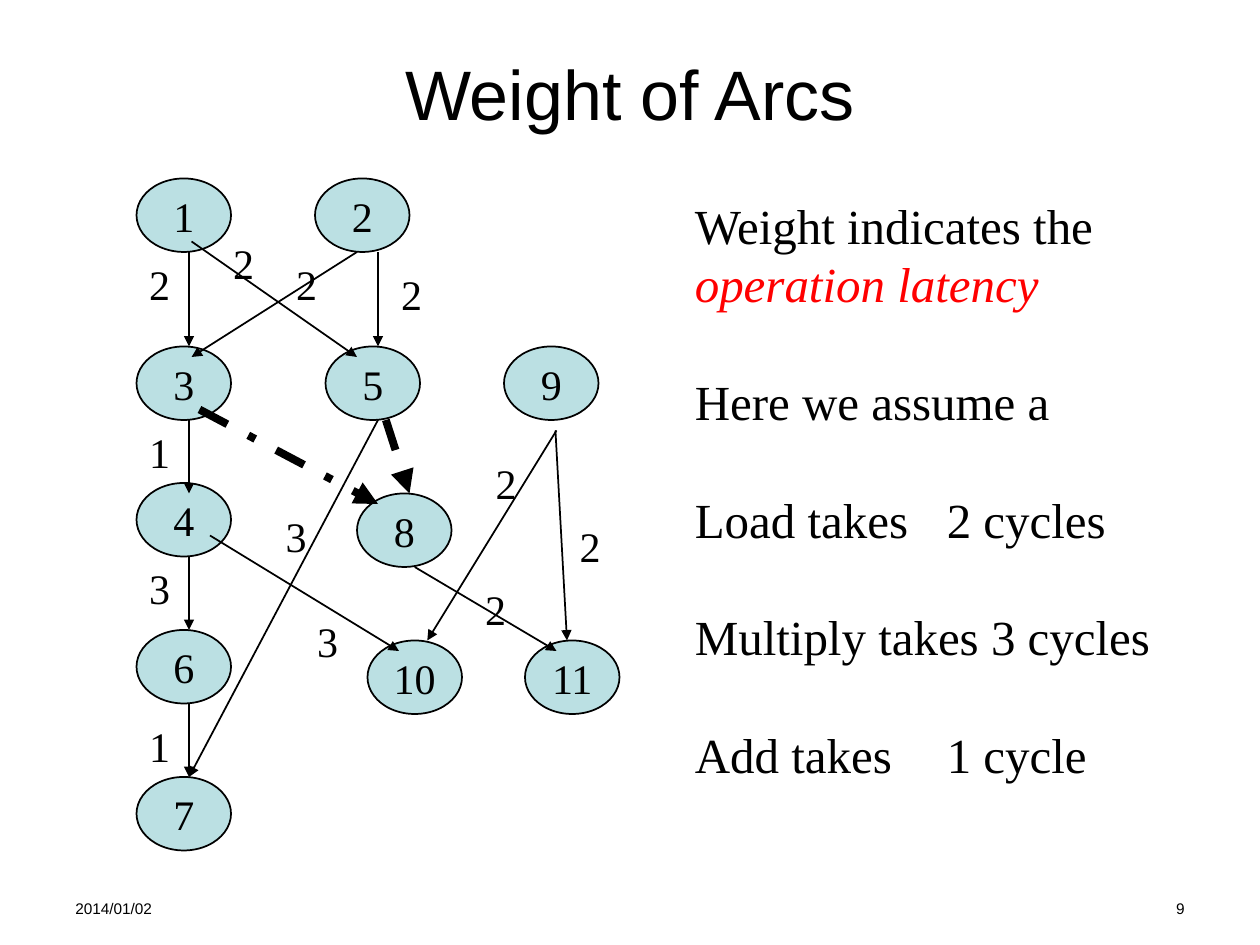
from lxml import etree
from pptx import Presentation
from pptx.dml.color import RGBColor
from pptx.enum.dml import MSO_LINE
from pptx.enum.shapes import MSO_CONNECTOR, MSO_SHAPE
from pptx.enum.text import MSO_ANCHOR, PP_ALIGN
from pptx.oxml.ns import qn
from pptx.util import Inches, Pt

OVAL = MSO_SHAPE.OVAL
LINE = MSO_CONNECTOR.STRAIGHT
DASH = MSO_LINE.DASH_DOT
MID, TOP = MSO_ANCHOR.MIDDLE, MSO_ANCHOR.TOP
LEFT, MIDST, RIGHT = PP_ALIGN.LEFT, PP_ALIGN.CENTER, PP_ALIGN.RIGHT

COLS, ROWS = 120, 90
WIDE, HIGH = Inches(10), Inches(7.5)
SANS, SERIF = "Arial", "Times New Roman"
BLACK, RED, PALE = "000000", "FF0000", "BBE0E3"
LEAD = 1.2

NODES = {
    "1": (13, 17), "2": (30, 17), "3": (13, 33), "4": (13, 46),
    "5": (31, 33), "6": (13, 60), "7": (13, 74), "8": (34, 47),
    "9": (48, 33), "10": (35, 61), "11": (50, 61),
}
ARCS = [
    (18, 24, 18, 33), (34, 24, 18.25, 34), (18.25, 23, 34, 34),
    (36, 24, 36, 33), (18, 40, 18, 47), (18, 53, 18, 60),
    (18, 67, 18, 74), (36, 40, 18, 74), (20, 51, 38, 62),
    (53, 41, 40.7, 61), (39.5, 54, 53, 62), (52.9, 41, 54, 61),
]
BOLD_ARCS = [(36.75, 40, 39, 47), (19, 39, 36, 48)]
WEIGHTS = [
    ("2", 13, 24), ("2", 37, 25), ("2", 21, 22), ("2", 27, 24),
    ("1", 13, 40), ("3", 13, 53), ("1", 13, 68), ("3", 29, 58),
    ("2", 46, 43), ("2", 54, 49), ("2", 45, 55), ("3", 26, 48),
]
NOTES = [
    ("Weight indicates the", {}),
    ("operation latency", {"color": RED, "italic": True}),
    ("Here we assume a", {"gap": 1}),
    ("Load takes \t2 cycles", {"gap": 1}),
    ("Multiply takes 3 cycles", {"gap": 1}),
    ("Add takes \t1 cycle", {"gap": 1}),
]


def tint(code):
    """Turn a hex string into a colour."""
    return RGBColor.from_string(code)


def apply(target, values):
    """Set each named attribute on the target."""
    for name, value in values.items():
        setattr(target, name, value)


class Deck:
    """Hold the style and the current slide."""

    def __init__(self):
        """Start a deck with one blank slide."""
        self.show = Presentation()
        apply(self.show, {"slide_width": WIDE, "slide_height": HIGH})
        self.slide = self.show.slides.add_slide(self.show.slide_layouts[6])

    def place(self, *cells):
        """Turn column and row pairs into slide lengths."""
        sides = (WIDE / COLS, HIGH / ROWS)
        return [round(cell * sides[i % 2]) for i, cell in enumerate(cells)]

    def letter(self, shape, lines, size, font, align=LEFT, anchor=TOP, wrap=True):
        """Fill a shape with styled paragraphs."""
        frame = shape.text_frame
        apply(frame, {"word_wrap": wrap, "vertical_anchor": anchor})
        lead = Pt(size * LEAD)
        for i, (words, look) in enumerate(lines):
            para = frame.paragraphs[0] if i == 0 else frame.add_paragraph()
            apply(para, {
                "alignment": align, "line_spacing": lead,
                "space_before": lead * look.get("gap", 0),
            })
            run = para.add_run()
            run.text = words
            apply(run.font, {
                "name": font, "size": Pt(size), "italic": look.get("italic", False),
            })
            run.font.color.rgb = tint(look.get("color", BLACK))

    def text(self, cells, lines, size, font, **form):
        """Add a text box."""
        box = self.slide.shapes.add_textbox(*self.place(*cells))
        self.letter(box, lines, size, font, **form)

    def node(self, name, col, row):
        """Add a numbered graph node."""
        oval = self.slide.shapes.add_shape(OVAL, *self.place(col, row, 9, 7))
        oval.shadow.inherit = False
        oval.fill.solid()
        oval.fill.fore_color.rgb = tint(PALE)
        oval.line.color.rgb = tint(BLACK)
        oval.line.width = Pt(1)
        self.letter(oval, [(name, {})], 24, SERIF, MIDST, MID, False)

    def arc(self, ends, width=1, dash=None):
        """Add an arrow between two grid points."""
        arrow = self.slide.shapes.add_connector(LINE, *self.place(*ends))
        arrow.line.color.rgb = tint(BLACK)
        apply(arrow.line, {"width": Pt(width), "dash_style": dash})
        props = arrow.element.spPr
        etree.SubElement(props.find(qn("a:ln")), qn("a:tailEnd"), type="triangle")
        etree.SubElement(props, qn("a:effectLst"))


def main():
    """Build the slide and save it."""
    deck = Deck()
    deck.text((6, 85, 28, 3.2), [("2014/01/02", {})], 8.8, SANS)
    deck.text((86, 85, 28, 3.2), [("9", {})], 8.8, SANS, align=RIGHT)
    deck.text((6, 3.6, 108, 10.4), [("Weight of Arcs", {})], 40, SANS,
              align=MIDST, anchor=MID)
    for name, spot in NODES.items():
        deck.node(name, *spot)
    for ends in ARCS:
        deck.arc(ends)
    for ends in BOLD_ARCS:
        deck.arc(ends, 4.5, DASH)
    for value, col, row in WEIGHTS:
        deck.text((col, row, 4.4, 6), [(value, {})], 24, SERIF,
                  align=MIDST, wrap=False)
    deck.text((65, 18, 48, 57.2), NOTES, 28, SERIF)
    deck.show.save("out.pptx")


if __name__ == "__main__":
    main()
